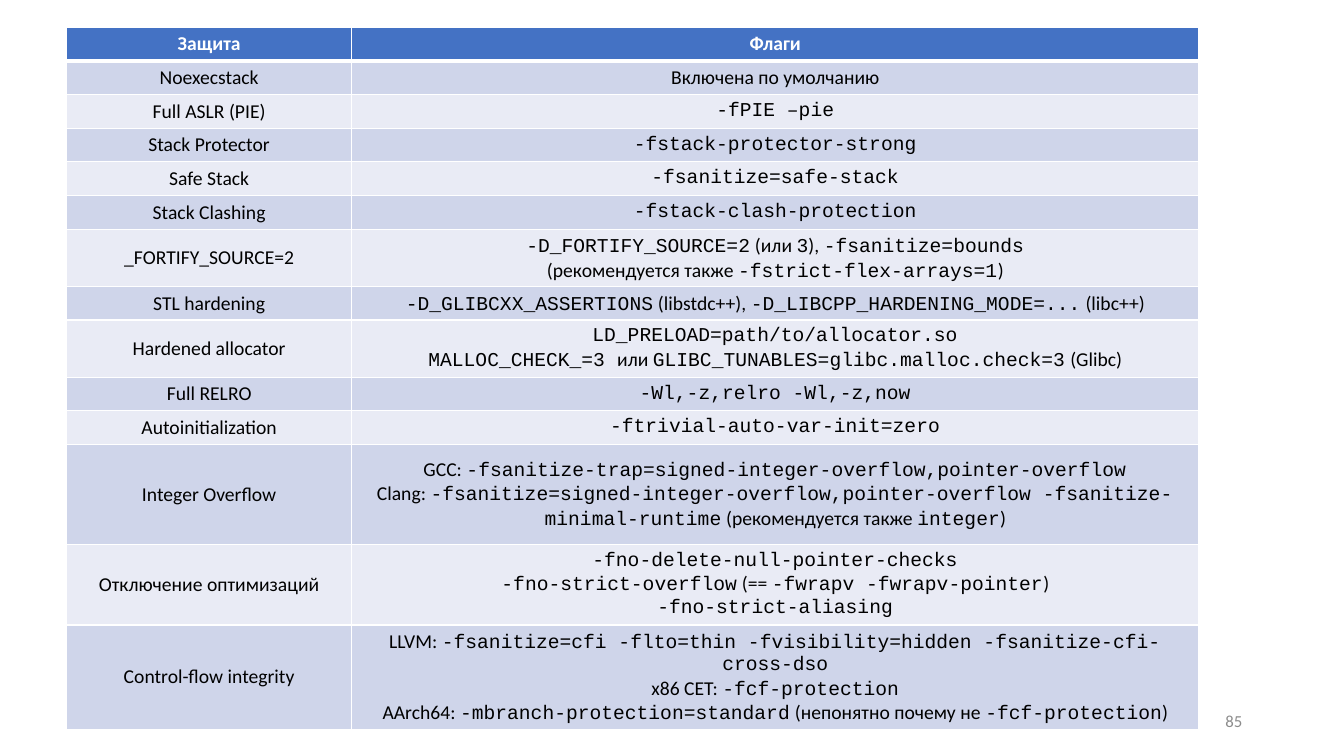
from lxml.etree import SubElement
from pptx import Presentation
from pptx.dml.color import RGBColor
from pptx.enum.text import MSO_ANCHOR, PP_ALIGN
from pptx.oxml.ns import qn
from pptx.util import Inches, Pt

COLORS = {"head": "4472C4", "odd": "CFD5EA", "even": "E9EBF5",
          "white": "FFFFFF", "black": "000000", "gray": "8C8C8C"}

# Protection, flags (one paragraph a line, code between backticks), row height
ROWS = [
    ("Защита", "Флаги", 0.33),
    ("Noexecstack", "Включена по умолчанию", 0.33),
    ("Full ASLR (PIE)", "`-fPIE –pie`", 0.33),
    ("Stack Protector", "`-fstack-protector-strong`", 0.33),
    ("Safe Stack", "`-fsanitize=safe-stack`", 0.33),
    ("Stack Clashing", "`-fstack-clash-protection`", 0.33),
    ("_FORTIFY_SOURCE=2",
     "`-D_FORTIFY_SOURCE=2` (или `3`), `-fsanitize=bounds`\n"
     "(рекомендуется также `-fstrict-flex-arrays=1`)", 0.56),
    ("STL hardening",
     "`-D_GLIBCXX_ASSERTIONS` (libstdc++), "
     "`-D_LIBCPP_HARDENING_MODE=...` (libc++)", 0.33),
    ("Hardened allocator",
     "`LD_PRELOAD=path/to/allocator.so`\n"
     "`MALLOC_CHECK_=3 `или `GLIBC_TUNABLES=glibc.malloc.check=3` (Glibc)",
     0.56),
    ("Full RELRO", "`-Wl,-z,relro -Wl,-z,now`", 0.33),
    ("Autoinitialization", "`-ftrivial-auto-var-init=zero`", 0.33),
    ("Integer Overflow",
     "GCC: `-fsanitize-trap=signed-integer-overflow,pointer-overflow`\n"
     "Clang: `-fsanitize=signed-integer-overflow,pointer-overflow "
     "-fsanitize-minimal-runtime` (рекомендуется также `integer`)", 0.99),
    ("Отключение оптимизаций",
     "`-fno-delete-null-pointer-checks`\n"
     "`-fno-strict-overflow` (== `-fwrapv -fwrapv-pointer`)\n"
     "`-fno-strict-aliasing`", 0.8),
    ("Control-flow integrity",
     "LLVM: `-fsanitize=cfi -flto=thin -fvisibility=hidden "
     "-fsanitize-cfi-cross-dso`\n"
     "x86 CET: `-fcf-protection`\n"
     "AArch64: `-mbranch-protection=standard` "
     "(непонятно почему не `-fcf-protection`)", 1.03),
]


class Deck:
    body, code = "Calibri", "Courier New"

    def __init__(self):
        self.prs = Presentation()
        self.prs.slide_width = Inches(13.33)
        self.prs.slide_height = Inches(7.5)
        self.slide = self.prs.slides.add_slide(self.prs.slide_layouts[6])

    def color(self, name):
        return RGBColor.from_string(COLORS[name])

    def text(self, frame, text, size, color, align, bold=False):
        for i, line in enumerate(text.split("\n")):
            para = frame.add_paragraph() if i else frame.paragraphs[0]
            para.alignment = align
            font = para.font
            font.size, font.bold = Pt(size), bold
            font.color.rgb = self.color(color)
            # Odd pieces stand between backticks
            parts = [(part, self.code if n % 2 else self.body)
                     for n, part in enumerate(line.split("`")) if part]
            mixed = len({name for _, name in parts}) > 1
            if not mixed:
                font.name = parts[0][1]
            for part, name in parts:
                run = para.add_run()
                run.text = part
                if mixed:
                    run.font.name = name

    def label(self, text, left, top, width, height):
        box = self.slide.shapes.add_textbox(
            Inches(left), Inches(top), Inches(width), Inches(height))
        frame = box.text_frame
        frame.word_wrap = True
        frame.vertical_anchor = MSO_ANCHOR.MIDDLE
        self.text(frame, text, 12, "gray", PP_ALIGN.RIGHT)

    def edge(self, cell, side, width):
        line = SubElement(cell._tc.get_or_add_tcPr(), qn("a:ln" + side),
                          w=str(Pt(width)))
        fill = SubElement(line, qn("a:solidFill"))
        SubElement(fill, qn("a:srgbClr"), val=COLORS["white"])

    def table(self, rows, left, top, cols):
        grid = self.slide.shapes.add_table(
            len(rows), len(cols), Inches(left), Inches(top),
            Inches(sum(cols)), Inches(sum(row[-1] for row in rows))).table
        for col, width in zip(grid.columns, cols):
            col.width = Inches(width)
        for r, (*texts, height) in enumerate(rows):
            grid.rows[r].height = Inches(height)
            fill = ("odd" if r % 2 else "even") if r else "head"
            for c, text in enumerate(texts):
                cell = grid.cell(r, c)
                cell.vertical_anchor = MSO_ANCHOR.MIDDLE
                for side in "LRTB":
                    thick = (r, side) in ((0, "B"), (1, "T"))
                    self.edge(cell, side, 3 if thick else 1)
                cell.fill.solid()
                cell.fill.fore_color.rgb = self.color(fill)
                self.text(cell.text_frame, text, 14,
                          "black" if r else "white", PP_ALIGN.CENTER, r == 0)


def main():
    deck = Deck()
    # Page number
    deck.label("85", 9.42, 6.95, 3, 0.4)
    # Protections and their flags
    deck.table(ROWS, 0.66, 0.27, (2.83, 8.4))
    deck.prs.save("out.pptx")


if __name__ == "__main__":
    main()
